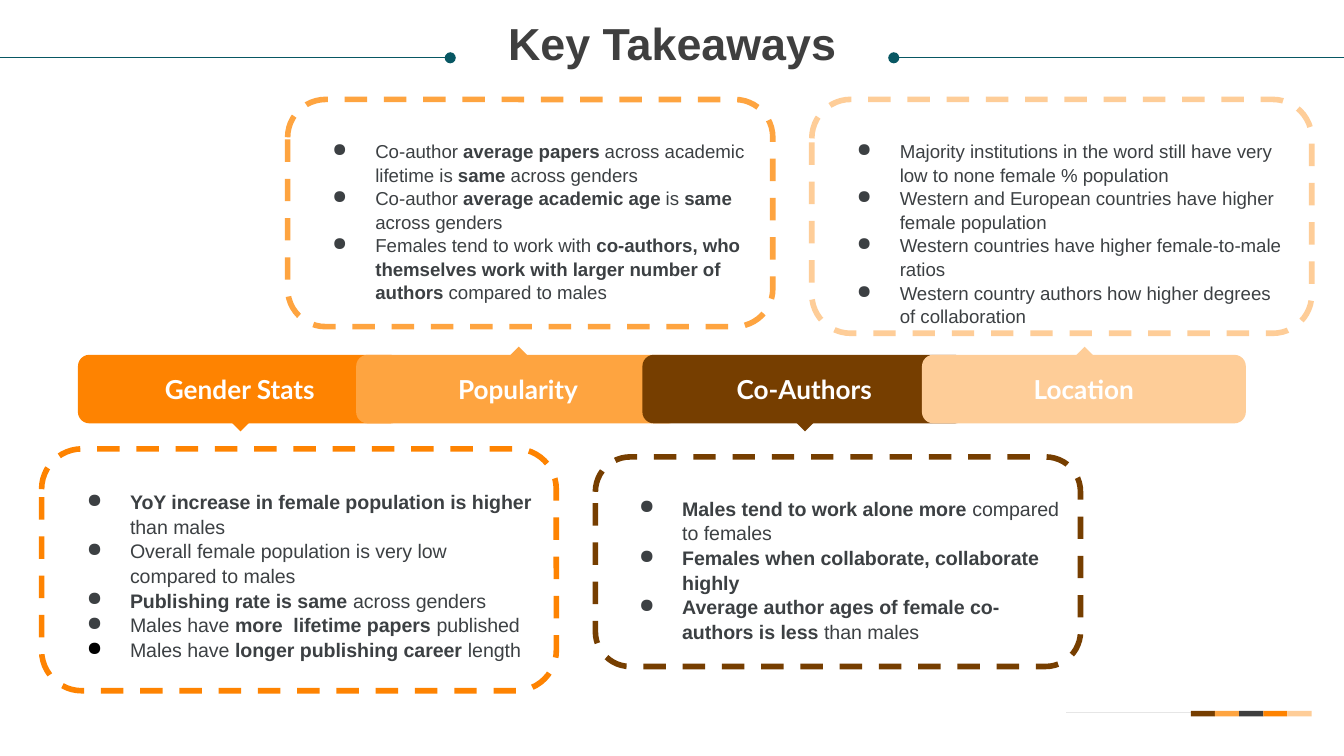
from lxml import etree
from pptx import Presentation
from pptx.dml.color import RGBColor
from pptx.enum.dml import MSO_LINE
from pptx.enum.shapes import MSO_CONNECTOR, MSO_SHAPE
from pptx.enum.text import MSO_ANCHOR, PP_ALIGN
from pptx.oxml.ns import qn
from pptx.util import Pt

RECTANGLE, ROUNDED = MSO_SHAPE.RECTANGLE, MSO_SHAPE.ROUNDED_RECTANGLE
TRIANGLE = MSO_SHAPE.ISOSCELES_TRIANGLE
STRAIGHT, DASH = MSO_CONNECTOR.STRAIGHT, MSO_LINE.DASH
TOP, MIDDLE = MSO_ANCHOR.TOP, MSO_ANCHOR.MIDDLE
LEFT, CENTER = PP_ALIGN.LEFT, PP_ALIGN.CENTER

EMU_PER_PX = 9144  # 100 px to the inch
COLORS = {
    "orange": "FE8301", "amber": "FEA440", "brown": "763E00", "peach": "FECD98",
    "dark": "3F3F3F", "body": "3C4043", "teal": "085763", "grey": "E6E6E6",
    "white": "FFFFFF", "black": "000000",
}


def px(value):
    return int(value * EMU_PER_PX)


def color(name):
    return RGBColor.from_string(COLORS[name])


class SlideBuilder:
    def __init__(self, slide):
        self.slide = slide
        self.body_font, self.label_font = "Arial", "Lato"

    def shape(self, kind, left, top, width, height, fill=None, outline=None):
        shape = self.slide.shapes.add_shape(kind, px(left), px(top), px(width), px(height))
        shape.shadow.inherit = False
        if fill:
            shape.fill.solid()
            shape.fill.fore_color.rgb = color(fill)
        else:
            shape.fill.background()
        if outline:
            shape.line.color.rgb = color(outline)
            shape.line.width = Pt(3)
            shape.line.dash_style = DASH
        else:
            shape.line.fill.background()
        return shape

    def line(self, start, end, y, name, oval_end=None):
        line = self.slide.shapes.add_connector(STRAIGHT, px(start), px(y), px(end), px(y))
        line.line.color.rgb = color(name)
        line.line.width = Pt(0.75)
        properties = line._element.spPr
        if oval_end:
            etree.SubElement(properties.find(qn("a:ln")), qn(oval_end), type="oval")
        etree.SubElement(properties, qn("a:effectLst"))

    def frame(self, shape, anchor, left=7, top=4, right=7, bottom=4):
        frame = shape.text_frame
        frame.word_wrap = True
        frame.vertical_anchor = anchor
        frame.margin_left, frame.margin_top = px(left), px(top)
        frame.margin_right, frame.margin_bottom = px(right), px(bottom)
        return frame

    def runs(self, paragraph, text, size, name, font):
        """Add runs; the parts between ** marks are bold."""
        for index, part in enumerate(text.split("**")):
            if part:
                run = paragraph.add_run()
                run.text = part
                run.font.name, run.font.size = font, Pt(size)
                run.font.bold = index % 2 == 1
                run.font.color.rgb = color(name)

    def title(self, text):
        box = self.slide.shapes.add_textbox(px(19), px(16), px(962), px(55))
        paragraph = self.frame(box, TOP, 0, 0, 0, 0).paragraphs[0]
        paragraph.alignment = CENTER
        paragraph.line_spacing = 0.9
        self.runs(paragraph, f"**{text}**", 24, "dark", self.body_font)

    def tag(self, left, label, fill, points_up):
        """A timeline segment with a pointer towards its card."""
        segment = self.shape(ROUNDED, left, 264, 241, 51, fill)
        paragraph = self.frame(segment, MIDDLE).paragraphs[0]
        paragraph.alignment = CENTER
        self.runs(paragraph, f"**{label}**", 14, "white", self.label_font)
        pointer = self.shape(TRIANGLE, left + 109, 258 if points_up else 309, 24, 12, fill)
        pointer.rotation = 0 if points_up else 180

    def bullet(self, paragraph, name):
        properties = paragraph._p.get_or_add_pPr()
        properties.set("marL", str(px(50)))
        properties.set("indent", str(px(-32)))
        bullet_color = etree.SubElement(properties, qn("a:buClr"))
        etree.SubElement(bullet_color, qn("a:srgbClr"), val=COLORS[name])
        etree.SubElement(properties, qn("a:buChar"), char="●")

    def card(self, bounds, outline, size, points, last_bullet="body"):
        card = self.shape(ROUNDED, *bounds, outline=outline)
        frame = self.frame(card, TOP, top=21)
        for index, text in enumerate(points):
            paragraph = frame.add_paragraph() if index else frame.paragraphs[0]
            paragraph.alignment = LEFT
            paragraph.line_spacing = 1.05
            self.bullet(paragraph, last_bullet if index == len(points) - 1 else "body")
            self.runs(paragraph, text, size, "body", self.body_font)


def main():
    presentation = Presentation()
    presentation.slide_width, presentation.slide_height = px(1000), px(562.5)
    builder = SlideBuilder(presentation.slides.add_slide(presentation.slide_layouts[6]))

    # Header
    builder.title("Key Takeaways")
    builder.line(0, 335, 43, "teal", "a:tailEnd")
    builder.line(665, 1000, 43, "teal", "a:headEnd")

    # Timeline
    builder.tag(58, "Gender Stats", "orange", False)
    builder.tag(265, "Popularity", "amber", True)
    builder.tag(478, "Co-Authors", "brown", False)
    builder.tag(686, "Location", "peach", True)

    # Cards
    builder.card((31, 334, 383, 180), "orange", 10.5, [
        "**YoY increase in female population is higher **than males",
        "Overall female population is very low compared to males",
        "**Publishing rate is same** across genders",
        "Males have **more  lifetime papers** published",
        "Males have **longer publishing career** length",
    ], last_bullet="black")
    builder.card((214, 74, 361, 169), "amber", 10, [
        "Co-author **average papers** across academic lifetime is **same** across genders",
        "Co-author **average academic age** is **same** across genders",
        "Females tend to work with **co-authors, who themselves work with "
        "larger number of authors **compared to males",
    ])
    builder.card((443, 340, 361, 156), "brown", 10.5, [
        "**Males tend to work alone more** compared to females",
        "**Females when collaborate, collaborate highly**",
        "**Average author ages of female co-authors is less** than males",
    ])
    builder.card((604, 74, 372, 174), "peach", 10, [
        "Majority institutions in the word still have very low to none female % population",
        "Western and European countries have higher female population",
        "Western countries have higher female-to-male ratios",
        "Western country authors how higher degrees of collaboration",
    ])

    # Footer colour strip
    builder.line(887, 793, 530, "grey")
    for index, name in enumerate(["brown", "amber", "dark", "orange", "peach"]):
        builder.shape(RECTANGLE, 886 + 18 * index, 529, 18, 4, name)

    presentation.save("out.pptx")


if __name__ == "__main__":
    main()
